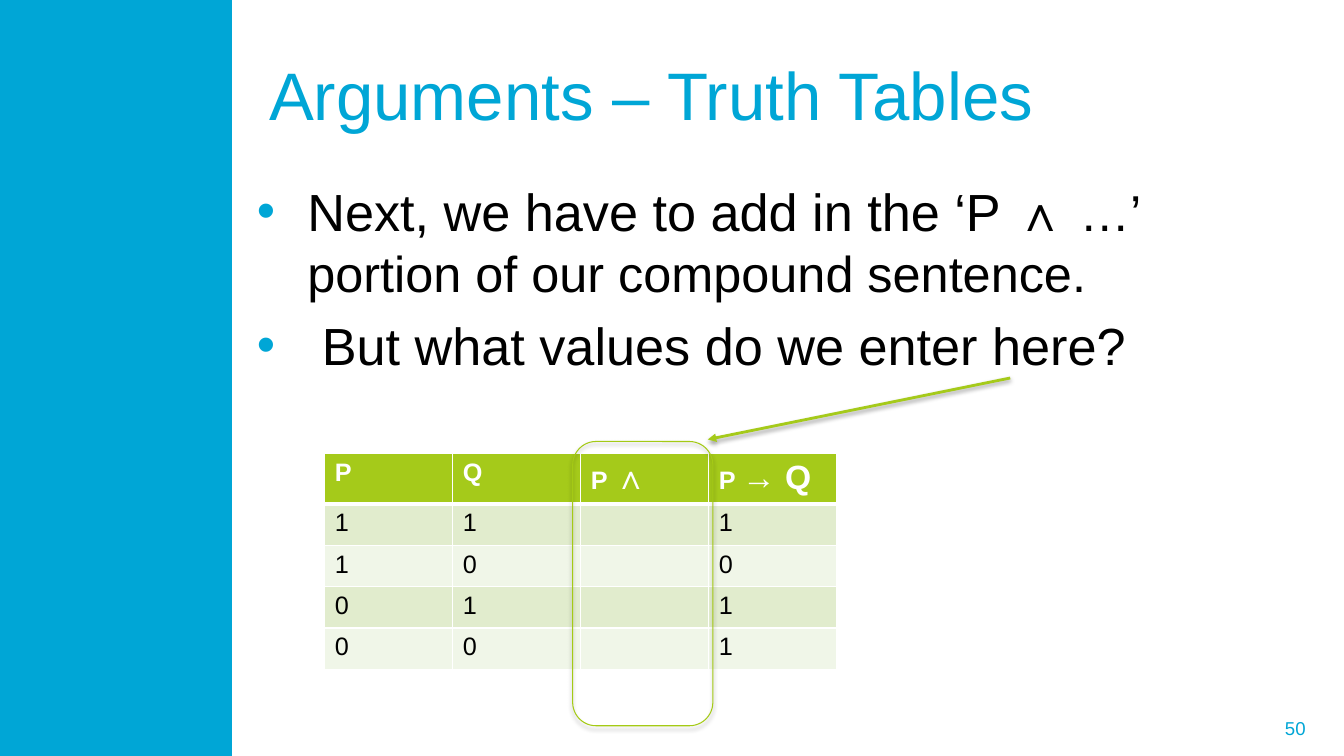
import pptx
import pptx.util
import pptx.dml.color
import pptx.enum.shapes
import pptx.enum.text
import pptx.oxml
import pptx.oxml.ns

Inches, Pt = pptx.util.Inches, pptx.util.Pt
MSO_SHAPE = pptx.enum.shapes.MSO_SHAPE
ANCHOR = pptx.enum.text.MSO_ANCHOR
ALIGN = pptx.enum.text.PP_ALIGN
NS = pptx.oxml.ns.nsdecls("a")
BLUE, GREEN, WHITE, BLACK = "00A6D6", "A5CA1A", "FFFFFF", "000000"
BANDS = ["E1ECCD", "F0F6E8"]


def rgb(value):
    """Turn a hex string into a colour."""
    return pptx.dml.color.RGBColor.from_string(value)


def add_xml(parent, xml):
    """Append a DrawingML element to a parent."""
    parent.append(pptx.oxml.parse_xml(xml.replace(" ", f" {NS} ", 1)))


def add_runs(p, runs, color, bold=False):
    """Add (text, size) runs to a paragraph."""
    for text, size in runs:
        r = p.add_run()
        r.text = text
        r.font.name, r.font.size, r.font.bold = "Arial", Pt(size), bold
        r.font.color.rgb = rgb(color)


def add_box(slide, box, anchor=ANCHOR.TOP):
    """Add a wrapping text box and return its text frame."""
    tf = slide.shapes.add_textbox(*map(Inches, box)).text_frame
    tf.word_wrap = True
    tf.vertical_anchor = anchor
    return tf


def add_shadow(sp, alpha, dist):
    """Give a shape a soft shadow falling straight down."""
    add_xml(sp._element.spPr,
            f'<a:effectLst ><a:outerShdw blurRad="{Pt(3.1)}" dist="{Pt(dist)}" dir="5400000" '
            f'rotWithShape="0"><a:srgbClr val="{BLACK}"><a:alpha val="{alpha * 1000}"/>'
            '</a:srgbClr></a:outerShdw></a:effectLst>')


def add_side_band(slide, box):
    """Draw the solid band on the left edge."""
    sp = slide.shapes.add_shape(MSO_SHAPE.RECTANGLE, *map(Inches, box))
    sp.shadow.inherit = False
    sp.fill.solid()
    sp.fill.fore_color.rgb = rgb(BLUE)
    sp.line.fill.background()


def add_page_number(slide, box, number):
    """Write the page number at the right of its box."""
    tf = add_box(slide, box, ANCHOR.MIDDLE)
    tf.margin_left = tf.margin_right = Inches(0.13)
    tf.margin_top = tf.margin_bottom = Inches(0.07)
    p = tf.paragraphs[0]
    p.alignment = ALIGN.RIGHT
    add_runs(p, [(number, 13.3)], BLUE)


def add_title(slide, box, text):
    """Write the slide title."""
    tf = add_box(slide, box, ANCHOR.MIDDLE)
    add_runs(tf.paragraphs[0], [(text, 48)], BLUE)


def add_bullets(slide, box, items):
    """Write a bulleted list, one list of runs per item."""
    tf = add_box(slide, box)
    for i, runs in enumerate(items):
        p = tf.add_paragraph() if i else tf.paragraphs[0]
        pPr = p._p.get_or_add_pPr()
        pPr.set("marL", str(Inches(0.5)))
        pPr.set("indent", str(-Inches(0.5)))
        add_xml(pPr, f'<a:buClr ><a:srgbClr val="{BLUE}"/></a:buClr>')
        add_xml(pPr, '<a:buFont typeface="Arial"/>')
        add_xml(pPr, '<a:buChar char="•"/>')
        if i:
            p.space_before = Pt(7.5)
        add_runs(p, runs, BLACK)


def style_cell(cell, fill, bottom):
    """Set the borders and fill of a table cell."""
    tcPr = cell._tc.get_or_add_tcPr()
    for side, width in zip("LRTB", (1, 1, 1, bottom)):
        add_xml(tcPr, f'<a:ln{side} w="{Pt(width)}"><a:solidFill><a:srgbClr val="{WHITE}"/>'
                      f'</a:solidFill></a:ln{side}>')
    cell.fill.solid()
    cell.fill.fore_color.rgb = rgb(fill)


def add_truth_table(slide, box, header, rows):
    """Build the truth table with a bold header and banded rows."""
    table = slide.shapes.add_table(len(rows) + 1, len(header), *map(Inches, box)).table
    for c, runs in enumerate(header):
        cell = table.cell(0, c)
        style_cell(cell, GREEN, 3)
        add_runs(cell.text_frame.paragraphs[0], runs, WHITE, True)
    for i, values in enumerate(rows):
        for c, value in enumerate(values):
            cell = table.cell(i + 1, c)
            style_cell(cell, BANDS[i % 2], 1)
            if value:
                add_runs(cell.text_frame.paragraphs[0], [(value, 18)], BLACK)


def add_column_marker(slide, box, arrow_start, arrow_end):
    """Point an arrow at a column and frame that column."""
    arrow = slide.shapes.add_connector(pptx.enum.shapes.MSO_CONNECTOR.STRAIGHT,
                                       *map(Inches, arrow_start + arrow_end))
    arrow.line.color.rgb = rgb(GREEN)
    arrow.line.width = Pt(2)
    add_xml(arrow.line._get_or_add_ln(), '<a:tailEnd type="triangle"/>')
    add_shadow(arrow, 38, 1.6)
    frame = slide.shapes.add_shape(MSO_SHAPE.ROUNDED_RECTANGLE, *map(Inches, box))
    frame.fill.background()
    frame.line.color.rgb = rgb("A4CA15")
    frame.line.width = Pt(0.75)
    add_shadow(frame, 35, 1.8)


def main():
    """Build the slide and save it."""
    prs = pptx.Presentation()
    prs.slide_width, prs.slide_height = Inches(13.33), Inches(7.5)
    slide = prs.slides.add_slide(prs.slide_layouts[6])
    add_page_number(slide, (9.7, 7.02, 3.38, 0.4), "50")
    add_side_band(slide, (0, 0, 2.3, 7.5))
    add_title(slide, (2.57, 0.3, 10.36, 1.25), "Arguments – Truth Tables")
    add_bullets(slide, (2.45, 1.73, 10.49, 2.55), [
        [("Next, we have to add in the ‘P ", 37.3),
         ("∧ …’ portion of our compound sentence.", 36)],
        [(" But what values do we enter here?", 37.3)],
    ])
    header = [[("P", 18)], [("Q", 18)], [("P ", 18), ("∧", 24)], [("P ", 18), ("→ Q", 24)]]
    rows = [("1", "1", "", "1"), ("1", "0", "", "0"), ("0", "1", "", "1"), ("0", "0", "", "1")]
    add_truth_table(slide, (3.22, 4.5, 5.08, 2.05), header, rows)
    add_column_marker(slide, (5.68, 4.38, 1.39, 2.82), (10.02, 3.75), (7.02, 4.36))
    prs.save("out.pptx")


if __name__ == "__main__":
    main()
